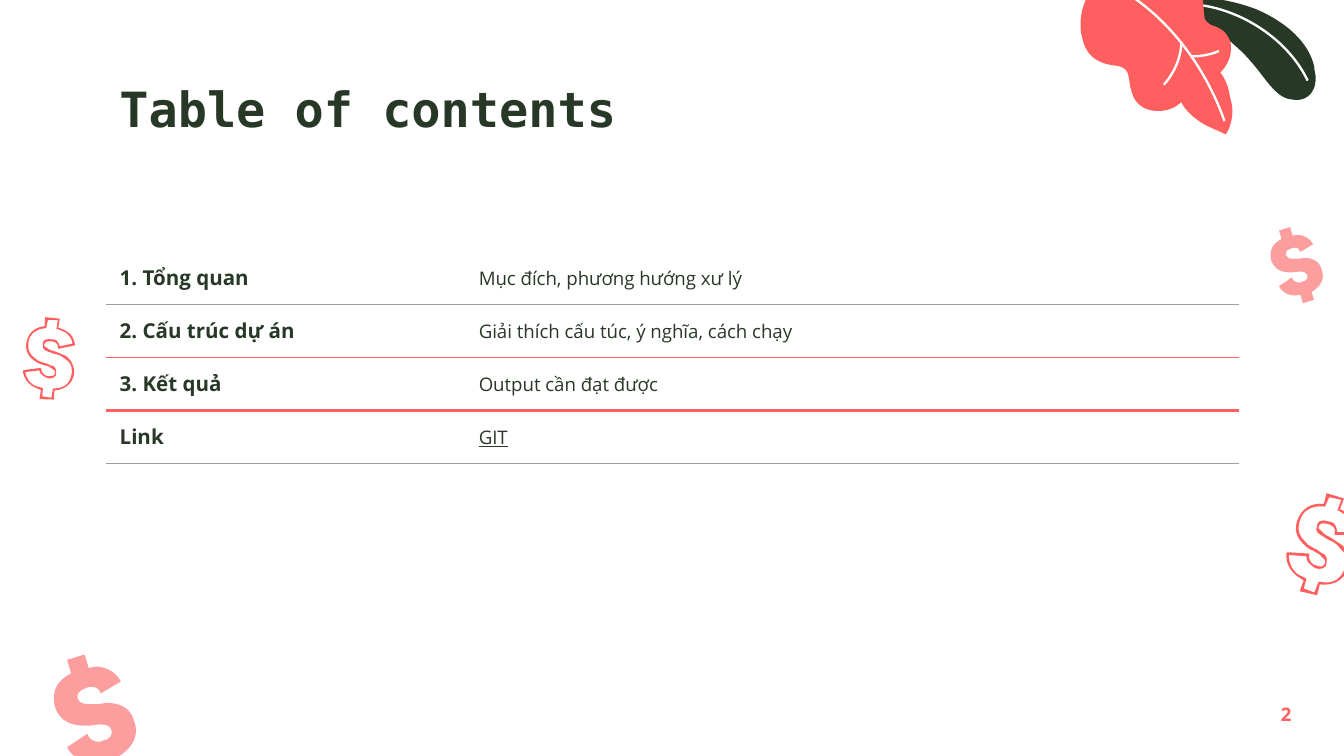
import dataclasses

import lxml.etree
import pptx
import pptx.dml.color
import pptx.enum.text
import pptx.oxml.ns
import pptx.util

qn = pptx.oxml.ns.qn


@dataclasses.dataclass(frozen=True)
class Theme:
    green: str = "283826"
    coral: str = "FF5F5F"
    pink: str = "FC9E9E"
    grey: str = "9E9E9E"
    white: str = "FFFFFF"
    title_font: str = "DejaVu Sans Mono"
    body_font: str = "Open Sans"
    title_size: float = 26
    heading_size: float = 11
    body_size: float = 10
    rule_width: float = 0.75
    vein_width: float = 1.25


@dataclasses.dataclass(frozen=True)
class Box:
    left: float
    top: float
    width: float
    height: float


THEME = Theme()
SLIDE_WIDTH = pptx.util.Inches(10)
SLIDE_HEIGHT = pptx.util.Inches(5.625)

# Outlines in hundredths of an inch: M move, L lines, C cubic curves, Z close
PLANT_VIEW = Box(804, -24, 175, 124)
LEAF = """M 979 58 C 979 71 970 76 961 74 949 73 941 57 931 46 922 35 899 15 877 10
L 876 -1 894 -2 C 908 -1 922 2 935 7 956 16 974 31 978 50 978 53 979 55 979 58 Z"""
FLOWER = """M 917 82 C 917 94 912 100 912 100 906 97 900 95 895 92 882 84 879 76 879 76
876 79 872 81 868 82 859 84 847 82 843 71 838 59 843 51 831 49 820 48 808 44 805 27
804 24 804 21 804 18 804 6 809 -2 809 -2 809 -2 869 -24 885 -15 888 -13 890 -11 892 -8
896 -2 895 4 896 11 896 14 897 16 900 18 901 19 903 19 905 20 910 22 913 25 915 30
916 32 916 34 916 36 916 47 908 54 908 54 912 59 914 65 915 71 916 75 917 79 917 82 Z"""
LEAF_VEIN = "M 973 60 C 957 26 915 1 876 3"
FLOWER_VEINS = ["M 911 90 C 901 61 877 17 832 -9",
                "M 879 31 C 879 49 867 62 866 63",
                "M 907 38 C 900 41 893 42 886 42"]

SOLID_VIEW = Box(38, 487, 66, 89)
SOLID_DOLLAR = """M 63 487 L 50 491 53 501 C 43 506 38 514 41 526 45 538 55 540 64 540
68 540 72 539 75 539 79 539 82 540 83 543 84 547 82 550 77 551 76 552 75 552 74 552
70 552 66 550 65 546 L 50 556 C 54 564 62 567 69 567 71 567 73 567 75 566
L 78 576 91 572 88 563 C 98 557 104 548 100 537 97 525 87 523 79 523
77 523 75 524 73 524 71 524 69 524 67 524 62 524 59 523 58 520 57 517 58 514 64 512
65 511 67 511 68 511 72 511 74 513 75 516 L 90 507 C 86 500 79 496 71 496
69 496 68 496 66 497 L 63 487 Z"""

HOLLOW_VIEW = Box(957, 367, 52, 76)
HOLLOW_INNER = """M 998 372 L 995 380 996 380 C 999 382 1001 383 1003 385
1006 388 1007 392 1007 396 L 995 396 C 995 394 994 392 993 390 992 389 990 388 988 388
982 386 980 389 980 391 979 393 979 395 981 397 983 398 985 400 989 402
992 403 995 405 997 408 1001 411 1003 416 1001 422 998 431 992 435 982 433
L 981 433 978 441 970 438 972 431 971 430 C 969 429 966 428 964 426
961 423 959 419 959 413 L 972 414 C 972 416 973 419 975 420 976 421 977 422 979 423
983 424 987 423 987 419 988 417 987 415 986 413 984 412 982 411 980 409
979 409 977 408 976 407 974 406 972 405 971 403 967 399 965 395 967 388
969 380 976 376 985 377 L 986 377 989 370 998 372 Z"""
HOLLOW_OUTER = """M 1000 371 L 987 367 985 375 C 975 374 968 379 965 388
963 395 965 400 969 404 971 406 973 408 975 409 977 410 978 410 979 411
981 412 983 413 984 415 986 416 986 417 986 419 985 422 982 422 980 421
978 421 977 420 976 419 974 417 974 415 974 413 L 974 412 958 411 957 412
C 957 419 959 423 963 427 965 429 967 430 970 432 L 967 440 980 443 982 435
C 992 436 1000 432 1003 423 1005 415 1002 410 999 406 996 404 993 402 990 400
986 398 984 397 983 395 981 394 981 393 981 392 982 389 985 389 988 390
989 390 991 391 992 392 993 393 994 395 993 397 L 993 398 1009 398 1009 397
C 1009 392 1008 387 1004 384 1002 382 1000 380 997 379 L 1000 371 Z"""


def share(left, top, width, height):
    """Turn percentages of the slide into a box of EMU lengths."""
    across, down = SLIDE_WIDTH / 100, SLIDE_HEIGHT / 100
    return Box(round(left * across), round(top * down),
               round(width * across), round(height * down))


def rgb(colour):
    return pptx.dml.color.RGBColor.from_string(colour)


def read_outline(contours):
    """Yield each command of the contours with its points."""
    command, numbers = None, []
    for token in (token for contour in contours for token in contour.split()):
        if token == "Z":
            yield token, []
        elif token.isalpha():
            command = token
        else:
            numbers.append(int(token))
            if len(numbers) == (6 if command == "C" else 2):
                yield command, list(zip(numbers[::2], numbers[1::2]))
                numbers = []


def draw_outline(slide, contours, view, box, fill=None, line=None, rotation=0):
    """Draw contours, scaled from their view into the box, with true curves."""
    segments = list(read_outline(contours))
    across, down = zip(*(point for _, points in segments for point in points))
    left, top, right, bottom = min(across), min(down), max(across), max(down)
    scale = box.width / view.width
    builder = slide.shapes.build_freeform(left, top, scale)
    builder.add_line_segments([(right, top), (right, bottom), (left, bottom)])
    shape = builder.convert_to_shape(round(box.left - view.left * scale),
                                     round(box.top - view.top * scale))
    geometry = shape.element.spPr.find(".//" + qn("a:path"))
    for child in list(geometry):
        geometry.remove(child)
    tags = {"M": "a:moveTo", "L": "a:lnTo", "C": "a:cubicBezTo", "Z": "a:close"}
    for command, points in segments:
        node = lxml.etree.SubElement(geometry, qn(tags[command]))
        for x, y in points:
            lxml.etree.SubElement(node, qn("a:pt"), x=str(x - left), y=str(y - top))
    shape.shadow.inherit = False
    shape.rotation = rotation
    if fill:
        shape.fill.solid()
        shape.fill.fore_color.rgb = rgb(fill)
    else:
        shape.fill.background()
    if line:
        shape.line.color.rgb = rgb(line)
        shape.line.width = pptx.util.Pt(THEME.vein_width)
    else:
        shape.line.fill.background()


def write(text_frame, text, size, colour=THEME.green, font=THEME.body_font, bold=False):
    text_frame.text = text
    run = text_frame.paragraphs[0].runs[0]
    run.font.name, run.font.size, run.font.bold = font, pptx.util.Pt(size), bold
    run.font.color.rgb = rgb(colour)
    return run


def add_text(slide, box, text, size, **style):
    text_frame = slide.shapes.add_textbox(box.left, box.top, box.width, box.height).text_frame
    text_frame.word_wrap = True
    text_frame.margin_left = text_frame.margin_right = pptx.util.Inches(0.1)
    text_frame.margin_top = text_frame.margin_bottom = pptx.util.Inches(0.1)
    write(text_frame, text, size, **style)
    return text_frame


def set_border(cell, side, colour=None, width=THEME.rule_width):
    line = lxml.etree.SubElement(cell._tc.get_or_add_tcPr(), qn("a:ln" + side),
                                 w=str(pptx.util.Pt(width)))
    if colour:
        fill = lxml.etree.SubElement(line, qn("a:solidFill"))
        lxml.etree.SubElement(fill, qn("a:srgbClr"), val=colour)
    else:
        lxml.etree.SubElement(line, qn("a:noFill"))


def add_plants(slide, box):
    draw_outline(slide, [LEAF], PLANT_VIEW, box, fill=THEME.green)
    draw_outline(slide, [LEAF_VEIN], PLANT_VIEW, box, line=THEME.white)
    draw_outline(slide, [FLOWER], PLANT_VIEW, box, fill=THEME.coral)
    for vein in FLOWER_VEINS:
        draw_outline(slide, [vein], PLANT_VIEW, box, line=THEME.white)


def add_contents(slide, box):
    # Each entry: heading, description, colour and width of the rule below
    entries = [("1. Tổng quan", "Mục đích, phương hướng xư lý", THEME.grey, 0.75),
               ("2. Cấu trúc dự án", "Giải thích cấu túc, ý nghĩa, cách chạy", THEME.coral, 0.75),
               ("3. Kết quả", "Output cần đạt được", THEME.coral, 1.25),
               ("Link", "GIT", THEME.grey, 0.75)]
    count = len(entries)
    table = slide.shapes.add_table(count + 1, 2, box.left, box.top, box.width, box.height).table
    table.first_row = table.horz_banding = False
    table.columns[0].width = round(box.width * 0.317)
    table.columns[1].width = box.width - table.columns[0].width
    # The closing row is twice as tall as an entry
    for index, row in enumerate(table.rows):
        row.height = round(box.height / (count + 2)) * (2 if index == count else 1)
    rules = [(None, 0.75)] + [entry[2:] for entry in entries] + [(None, 0.75)]
    for index, row in enumerate(table.rows):
        for column, cell in enumerate(row.cells):
            cell.margin_left = cell.margin_right = pptx.util.Inches(0.1)
            cell.margin_top = cell.margin_bottom = 0
            cell.vertical_anchor = pptx.enum.text.MSO_ANCHOR.MIDDLE
            for side, rule in (("L", (None,)), ("R", (None,)),
                               ("T", rules[index]), ("B", rules[index + 1])):
                set_border(cell, side, *rule)
            cell.fill.background()
            if index < count:
                size = THEME.body_size if column else THEME.heading_size
                run = write(cell.text_frame, entries[index][column], size, bold=column == 0)
                run.font.underline = run.text == "GIT"
                if column:
                    cell.text_frame.paragraphs[0].space_after = pptx.util.Pt(16)
    table.cell(count, 0).merge(table.cell(count, 1))


def build_contents_slide(presentation):
    slide = presentation.slides.add_slide(presentation.slide_layouts[6])
    # Decorations
    add_plants(slide, share(80.4, -4.27, 17.5, 22.04))
    for box in (share(94.4, 30.04, 4.2, 10.13), share(3.8, 86.58, 6.6, 15.82)):
        draw_outline(slide, [SOLID_DOLLAR], SOLID_VIEW, box, fill=THEME.pink)
    for box, rotation in ((share(1.55, 41.96, 4.2, 11.02), -11.4),
                          (share(95.7, 65.24, 5.2, 13.51), 0)):
        draw_outline(slide, [HOLLOW_INNER, HOLLOW_OUTER], HOLLOW_VIEW, box,
                     fill=THEME.coral, rotation=rotation)
    # Title and page number
    add_text(slide, share(7.9, 8.71, 84.3, 11.2), "Table of contents", THEME.title_size,
             font=THEME.title_font, bold=True)
    number = add_text(slide, share(92.7, 90.67, 6, 7.64), "2", THEME.body_size,
                      colour=THEME.coral, bold=True)
    number.vertical_anchor = pptx.enum.text.MSO_ANCHOR.MIDDLE
    number.paragraphs[0].alignment = pptx.enum.text.PP_ALIGN.CENTER
    # Contents
    add_contents(slide, share(7.9, 33.24, 84.3, 42.13))


def main():
    presentation = pptx.Presentation()
    presentation.slide_width, presentation.slide_height = SLIDE_WIDTH, SLIDE_HEIGHT
    build_contents_slide(presentation)
    presentation.save("out.pptx")


if __name__ == "__main__":
    main()
